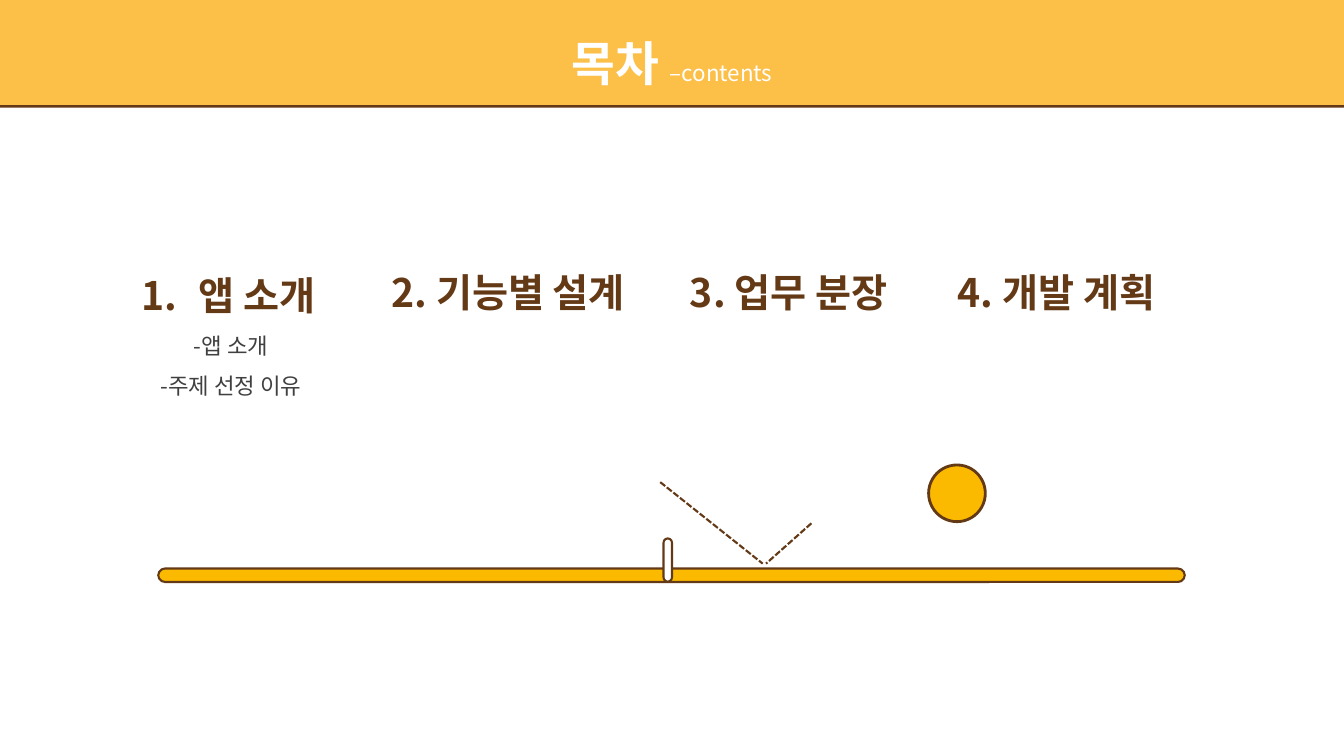
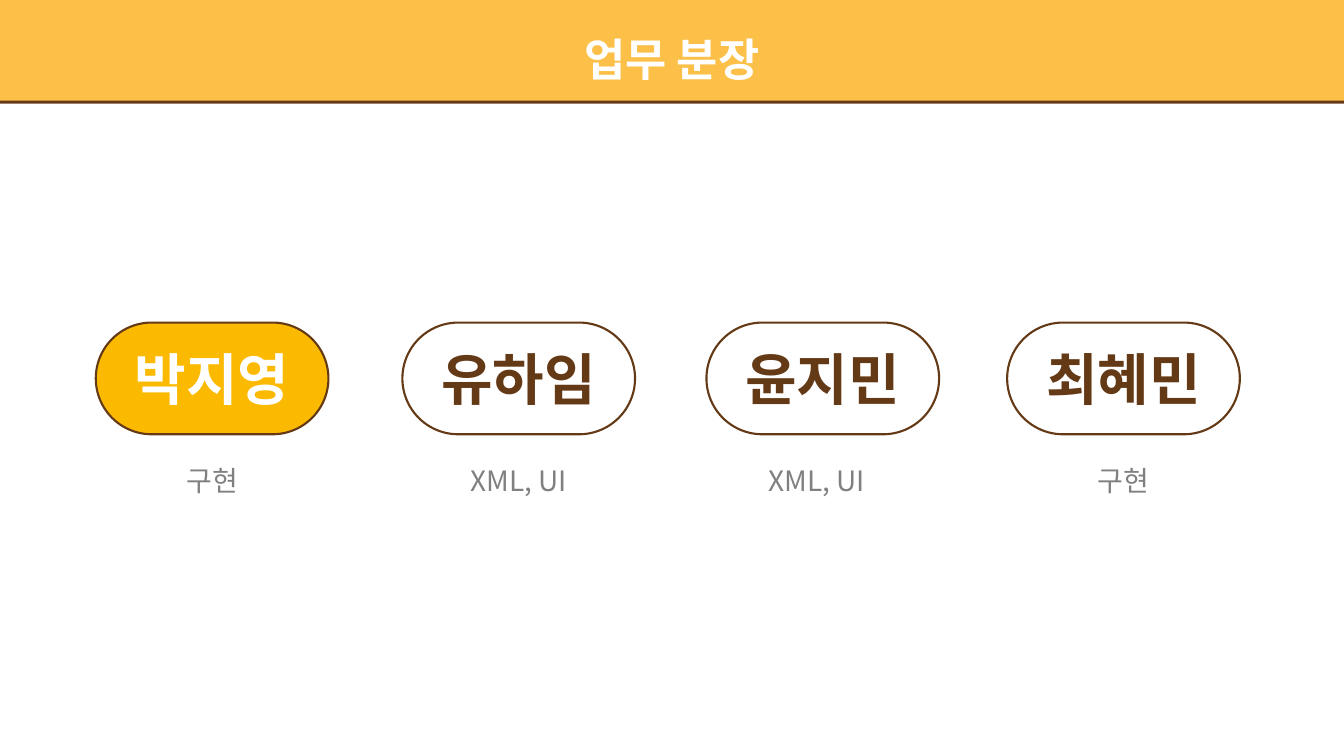
from lxml import etree
from pptx import Presentation
from pptx import util as u
from pptx.dml.color import RGBColor
from pptx.enum import dml, shapes, text
from pptx.oxml import ns

BROWN = RGBColor(0x64, 0x39, 0x16)
AMBER = RGBColor(0xFB, 0xBA, 0x00)
BAND = RGBColor(0xFC, 0xBF, 0x48)
WHITE = RGBColor(0xFF, 0xFF, 0xFF)
DARK = RGBColor(0x40, 0x40, 0x40)
GREY = RGBColor(0x80, 0x80, 0x80)
FONT = "Noto Sans CJK KR"
COLS, ROWS = 160, 90
SHAPE = shapes.MSO_SHAPE
ANCHOR = text.MSO_ANCHOR


def add_xml(parent, tag, **attrs):
    return etree.SubElement(parent, ns.qn(tag), attrs)


class Deck:
    """Holds the style and the current slide; lengths are grid columns and rows."""

    def __init__(self):
        self.prs = Presentation()
        self.prs.slide_width = u.Inches(13.333)
        self.prs.slide_height = u.Inches(7.5)
        self.s = None

    def grid(self, *cells):
        """Turn alternating columns and rows into slide lengths."""
        units = (self.prs.slide_width / COLS, self.prs.slide_height / ROWS)
        return [round(c * units[i % 2]) for i, c in enumerate(cells)]

    def new_slide(self):
        self.s = self.prs.slides.add_slide(self.prs.slide_layouts[6])

    def shape(self, kind, at, fill, line=1.5):
        sp = self.s.shapes.add_shape(kind, *self.grid(*at))
        sp.shadow.inherit = False
        sp.fill.solid()
        sp.fill.fore_color.rgb = fill
        if line:
            sp.line.color.rgb = BROWN
            sp.line.width = u.Pt(line)
        else:
            sp.line.fill.background()
        if kind == SHAPE.ROUNDED_RECTANGLE:
            sp.adjustments[0] = 0.5
        return sp

    def dashed_line(self, start, end):
        c = self.s.shapes.add_connector(
            shapes.MSO_CONNECTOR.STRAIGHT, *self.grid(*start, *end))
        c.line.color.rgb = BROWN
        c.line.width = u.Pt(1.5)
        c.line.dash_style = dml.MSO_LINE.SQUARE_DOT
        add_xml(c.element.spPr, "a:effectLst")

    def run(self, p, words, size, color, bold=False):
        r = p.add_run()
        r.text = words
        r.font.size = u.Pt(size)
        r.font.bold = bold
        r.font.color.rgb = color
        r.font.name = FONT
        add_xml(r.font._element, "a:ea", typeface=FONT)

    def centre(self, p, spacing=1.5):
        p.alignment = text.PP_ALIGN.CENTER
        p.line_spacing = spacing
        return p

    def band(self, rows, *runs):
        """Title band with a hard brown edge; runs are (words, size, bold)."""
        sp = self.shape(SHAPE.RECTANGLE, (0, 0, COLS, rows), BAND, line=0)
        effects = sp.element.spPr.find(ns.qn("a:effectLst"))
        edge = add_xml(effects, "a:outerShdw", blurRad="0", dist=str(u.Pt(2)),
                       dir="5400000", algn="t", rotWithShape="0")
        add_xml(edge, "a:srgbClr", val=str(BROWN))
        tf = sp.text_frame
        tf.vertical_anchor = ANCHOR.TOP
        p = self.centre(tf.paragraphs[0])
        for words, size, bold in runs:
            self.run(p, words, size, WHITE, bold)

    def text_box(self, at, words, size, color, bold=False, anchor=ANCHOR.TOP):
        tf = self.s.shapes.add_textbox(*self.grid(*at)).text_frame
        tf.word_wrap = True
        tf.vertical_anchor = anchor
        self.run(self.centre(tf.paragraphs[0]), words, size, color, bold)
        return tf

    def heading(self, at, words):
        return self.text_box(at, words, 28, BROWN, bold=True)

    def number(self, p):
        """Number the paragraph, with a hanging indent."""
        pPr = p._p.get_or_add_pPr()
        indent = u.Inches(0.56)
        pPr.set("marL", str(indent))
        pPr.set("indent", str(-indent))
        add_xml(pPr, "a:buFont", typeface="+mj-lt")
        add_xml(pPr, "a:buAutoNum", type="arabicPeriod")

    def pill(self, at, words, fill, color):
        sp = self.shape(SHAPE.ROUNDED_RECTANGLE, at, fill)
        tf = sp.text_frame
        tf.margin_top = tf.margin_bottom = 0
        tf.vertical_anchor = ANCHOR.MIDDLE
        self.run(self.centre(tf.paragraphs[0], 1.0), words, 40, color, bold=True)


def contents(d):
    d.new_slide()
    d.shape(SHAPE.ROUNDED_RECTANGLE, (18.84, 67.68, 122.2, 1.6), AMBER)
    d.shape(SHAPE.OVAL, (110.55, 55.35, 6.75, 6.75), AMBER, line=2)
    d.shape(SHAPE.ROUNDED_RECTANGLE, (79, 64.1, 1, 5.15), WHITE)
    d.dashed_line((96.6, 62.3), (91.2, 67.1))
    d.dashed_line((78.6, 57.4), (90.8, 67.1))

    tf = d.heading((11.9, 28.9, 30.6, 18.7), "앱 소개")
    d.number(tf.paragraphs[0])
    for item in (" -앱 소개", " -주제 선정 이유"):
        d.run(d.centre(tf.add_paragraph()), item, 16, DARK)
    for left, width, words in ((43.9, 33.2, "2. 기능별 설계"),
                               (78.6, 30.6, "3. 업무 분장"),
                               (110.5, 30.6, "4. 개발 계획")):
        d.heading((left, 28.6, width, 8.9), words)
    d.band(12.5, ("목차 ", 34, True), ("–contents", 16, False))


def work_split(d):
    d.new_slide()
    d.band(12, ("업무 분장", 32, True))
    members = (
        (11.4, 9.7, "박지영", "구현", AMBER, WHITE),
        (47.9, 46.2, "유하임", "XML, UI", WHITE, BROWN),
        (84.1, 81.7, "윤지민", "XML, UI", WHITE, BROWN),
        (119.9, 118.2, "최혜민", "구현", WHITE, BROWN),
    )
    for pill_left, role_left, name, role, fill, color in members:
        d.text_box((role_left, 49, 31.1, 14.4), role, 20, GREY,
                   anchor=ANCHOR.MIDDLE)
        d.pill((pill_left, 38.4, 27.7, 13.3), name, fill, color)


def main():
    d = Deck()
    contents(d)
    work_split(d)
    d.prs.save("out.pptx")


if __name__ == "__main__":
    main()
